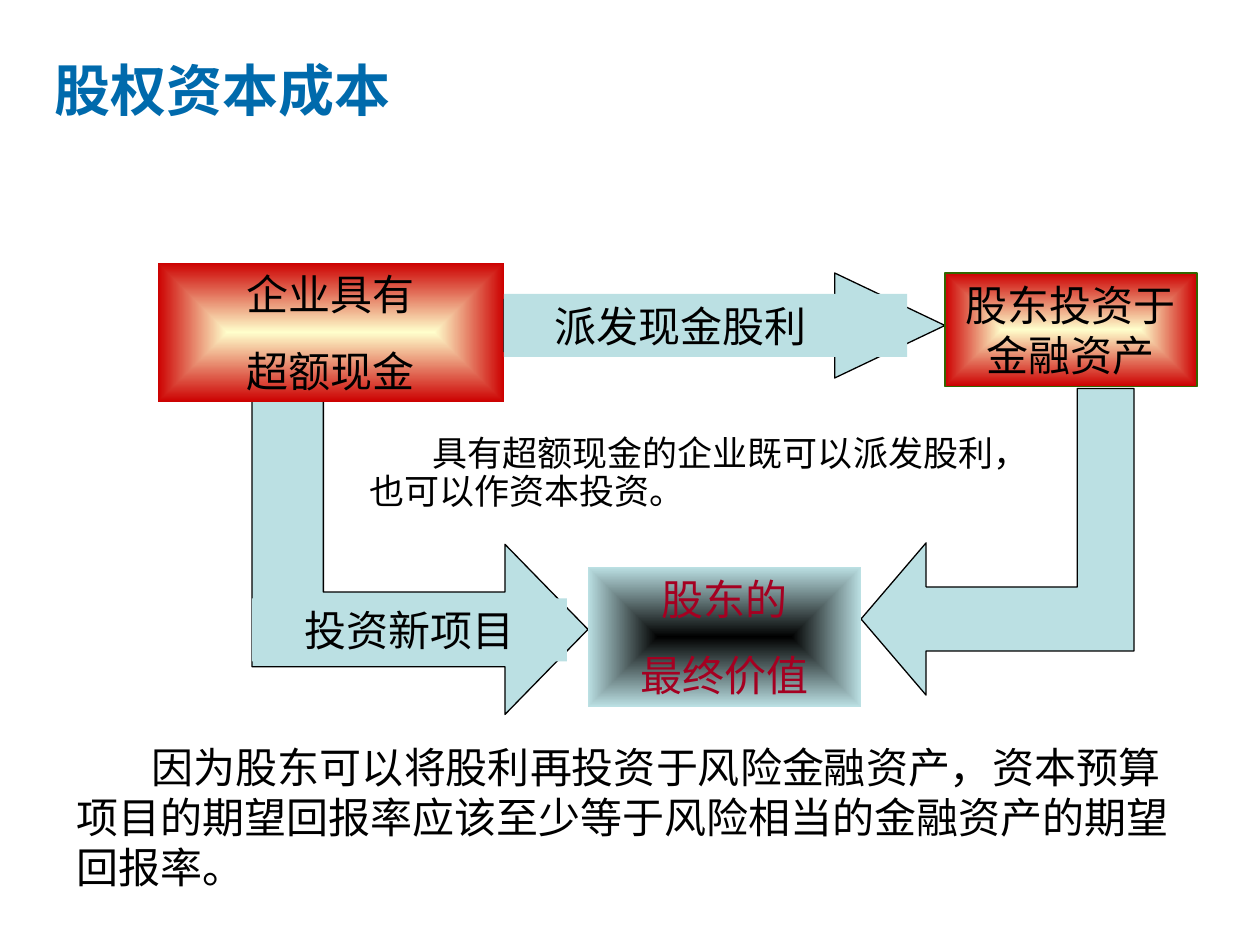
import pptx
import pptx.dml.color
import pptx.enum.shapes
import pptx.enum.text
import pptx.oxml
import pptx.oxml.ns
import pptx.util
import lxml.etree

CELL = pptx.util.Inches(1) // 12  # grid of 120 columns by 90 rows
SHAPES = pptx.enum.shapes.MSO_SHAPE
ALIGN = pptx.enum.text.PP_ALIGN
ANCHOR = pptx.enum.text.MSO_ANCHOR
PALE, RED, CREAM, BLACK = "BBE0E3", "CC0000", "FFFFCC", "000000"


def rgb(value):
    return pptx.dml.color.RGBColor.from_string(value)


def cells(*counts):
    return [pptx.util.Emu(round(count * CELL)) for count in counts]


def write(frame, *lines, size=24, color=BLACK, font="Times New Roman", bold=False,
          align=ALIGN.LEFT, anchor=ANCHOR.TOP, gap=15, spacing=None,
          margin=0, indent=0):
    """Fill a text frame, one paragraph per line; margin and indent in cells."""
    frame.word_wrap = True
    frame.vertical_anchor = anchor
    for number, line in enumerate(lines):
        paragraph = frame.add_paragraph() if number else frame.paragraphs[0]
        properties = paragraph._p.get_or_add_pPr()
        properties.set("marL", str(round(margin * CELL)))
        properties.set("indent", str(round(indent * CELL)))
        paragraph.alignment = align
        if number:
            paragraph.space_before = pptx.util.Pt(gap)
        if spacing:
            paragraph.line_spacing = spacing
        run = paragraph.add_run()
        run.text = line
        run.font.size = pptx.util.Pt(size)
        run.font.name = font
        run.font.bold = bold
        run.font.color.rgb = rgb(color)


class FlowSlide:
    """Holds the slide and the look of its boxes and arrows."""

    def __init__(self, deck):
        self.shapes = deck.slides.add_slide(deck.slide_layouts[6]).shapes

    def outline(self, shape, color):
        shape.shadow.inherit = False
        if color:
            shape.line.color.rgb = rgb(color)
            shape.line.width = pptx.util.Pt(0.75)
        else:
            shape.line.fill.background()

    def text(self, place, *lines, **style):
        write(self.shapes.add_textbox(*cells(*place)).text_frame, *lines, **style)

    def label(self, place, line, **style):
        """Pale caption laid over an arrow."""
        band = self.shapes.add_shape(SHAPES.RECTANGLE, *cells(*place))
        band.fill.solid()
        band.fill.fore_color.rgb = rgb(PALE)
        self.outline(band, None)
        write(band.text_frame, line, **style)

    def glow_box(self, place, *lines, inner=CREAM, outer=RED, line=None, **style):
        """Box whose colour runs from its centre to its edges."""
        box = self.shapes.add_shape(SHAPES.RECTANGLE, *cells(*place))
        box.fill.gradient()
        for stop, position, color in zip(box.fill.gradient_stops, (0, 1), (inner, outer)):
            stop.position = position
            stop.color.rgb = rgb(color)
        qn = pptx.oxml.ns.qn
        gradient = box._element.spPr.find(qn("a:gradFill"))
        centre = lxml.etree.Element(qn("a:path"), path="rect")
        lxml.etree.SubElement(centre, qn("a:fillToRect"),
                              {side: "50000" for side in "ltrb"})
        gradient.replace(gradient.find(qn("a:lin")), centre)
        self.outline(box, line)
        write(box.text_frame, *lines, align=ALIGN.CENTER, **style)

    def arrow(self, shape):
        shape.fill.solid()
        shape.fill.fore_color.rgb = rgb(PALE)
        self.outline(shape, BLACK)

    def straight_arrow(self, place, shaft, head):
        shape = self.shapes.add_shape(SHAPES.RIGHT_ARROW, *cells(*place))
        shape.adjustments[0], shape.adjustments[1] = shaft, head
        self.arrow(shape)

    def bent_arrow(self, inner, outer, top, upper, lower, neck, tip, spread):
        """Stem going down from top, then a shaft running sideways to tip."""
        middle = (upper + lower) / 2
        corners = [(inner, top), (inner, upper), (neck, upper), (neck, middle - spread),
                   (tip, middle), (neck, middle + spread), (neck, lower),
                   (outer, lower), (outer, top)]
        points = [(round(x * 100), round(y * 100)) for x, y in corners]
        builder = self.shapes.build_freeform(*points[0], scale=CELL / 100)
        builder.add_line_segments(points[1:], close=True)
        self.arrow(builder.convert_to_shape())


def main():
    deck = pptx.Presentation()
    deck.slide_width, deck.slide_height = cells(120, 90)
    slide = FlowSlide(deck)

    # Paths down to the final value
    slide.bent_arrow(inner=102.6, outer=108, top=37, upper=55.9, lower=62,
                     neck=88.2, tip=82, spread=7.25)
    slide.bent_arrow(inner=30.8, outer=24, top=35, upper=56.4, lower=63.5,
                     neck=48.1, tip=56, spread=8.1)
    slide.label((24, 57, 30, 6), "投资新项目", align=ALIGN.CENTER)

    # Company, shareholder value, dividend path and shareholders
    slide.glow_box((15, 25, 33, 13.3), "企业具有", "超额现金")
    slide.glow_box((56, 54, 26, 13.3), "股东的", "最终价值",
                   inner=BLACK, outer=PALE, color="A50021")
    slide.straight_arrow((48, 26, 42, 10), shaft=0.5, head=1.05)
    slide.label((48, 28, 38.4, 6), "派发现金股利", margin=3.6)
    slide.glow_box((90, 26, 24, 10.8), "股东投资于金融资产", line="336600")

    # Explanations
    slide.text((6.1, 70, 108.7, 15.6),
               "因为股东可以将股利再投资于风险金融资产，资本预算项目的期望回报率"
               "应该至少等于风险相当的金融资产的期望回报率。", indent=7.2)
    slide.text((34, 41, 67, 8.4),
               "具有超额现金的企业既可以派发股利，也可以作资本投资。",
               size=20, spacing=0.9, indent=6)

    # Title
    slide.text((4, 1, 111, 15), "股权资本成本", size=32, color="006AAC",
               font="Arial", bold=True, anchor=ANCHOR.MIDDLE)

    deck.save("out.pptx")


if __name__ == "__main__":
    main()
